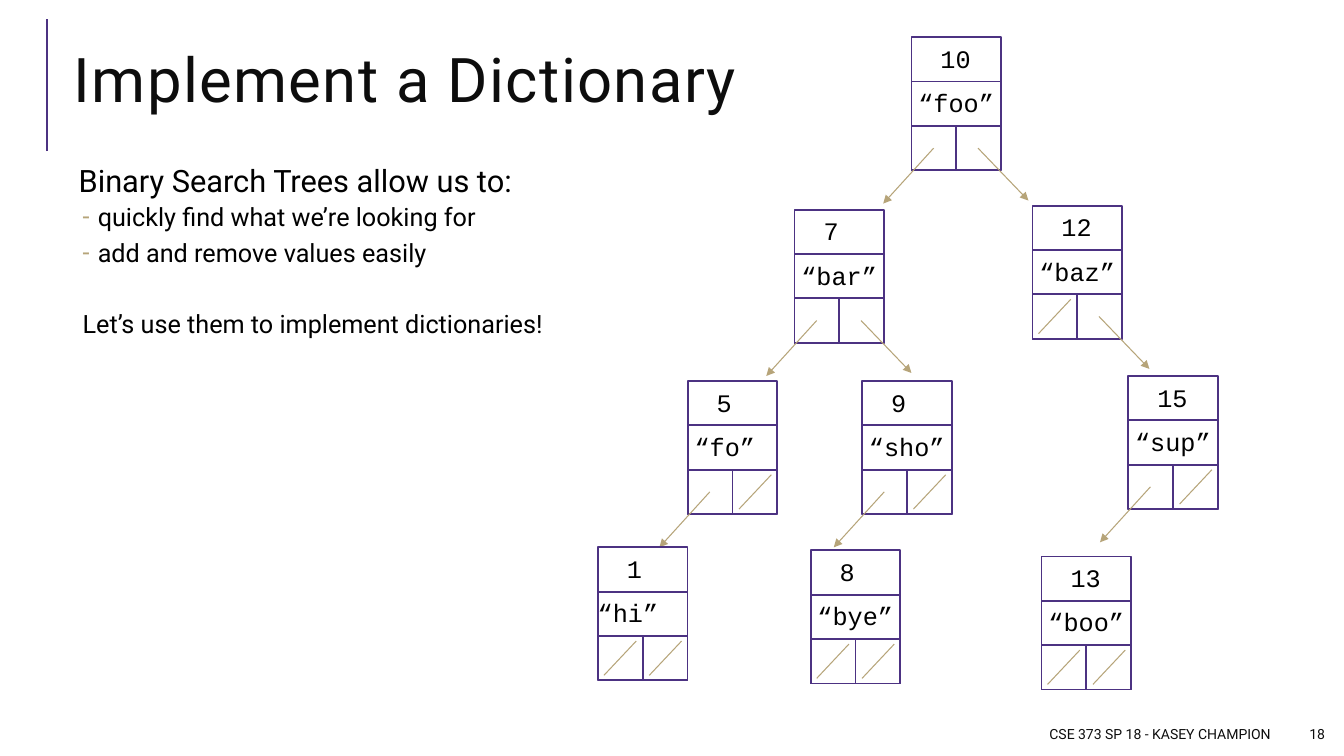
from lxml.etree import SubElement
from pptx import Presentation
from pptx.dml.color import RGBColor
from pptx.enum.shapes import MSO_CONNECTOR, MSO_SHAPE
from pptx.enum.text import MSO_ANCHOR, MSO_AUTO_SIZE, PP_ALIGN
from pptx.oxml.ns import qn
from pptx.util import Inches, Pt

COLORS = {"line": "4C3282", "arrow": "B6A479", "title": "0D0D0D", "text": "000000"}
BODY, CODE = "Roboto", "Courier New"

# Node geometry
WIDE, HIGH, CELL = 0.89, 1.32, 0.44
ARROWS = [(0.22, 1.1, -0.28, 1.65), (0.66, 1.1, 1.16, 1.62)]
SLASHES = [(0.38, 0.93, 0.06, 1.27), (0.83, 0.93, 0.51, 1.27)]

# Left, top, key, value, has left child, has right child
NODES = [
    (9.04, 0.37, "10", "“foo”", True, True),
    (7.88, 2.08, "7", "“bar”", True, True),
    (10.24, 2.04, "12", "“baz”", False, True),
    (8.55, 3.78, "9", "“sho”", True, False),
    (6.82, 3.78, "5", "“fo”", True, False),
    (11.19, 3.73, "15", "“sup”", True, False),
    (10.33, 5.52, "13", "“boo”", False, False),
    (8.04, 5.46, "8", "“bye”", False, False),
    (5.93, 5.43, "1", "“hi”", False, False),
]


def color(name):
    return RGBColor.from_string(COLORS[name])


def write(para, text, size=18, font=BODY, tint="text", align=PP_ALIGN.LEFT, track=0):
    para.alignment = align
    run = para.add_run()
    run.text = text
    run.font.size = Pt(size)
    run.font.name = font
    run.font.color.rgb = color(tint)
    if track:
        run._r.get_or_add_rPr().set("spc", str(track * 100))


class Deck:
    def __init__(self):
        self.show = Presentation()
        self.show.slide_width = Inches(13.33)
        self.show.slide_height = Inches(7.5)
        self.slide = self.show.slides.add_slide(self.show.slide_layouts[1])
        self.shapes = self.slide.shapes

    def place(self, holder, x, y, w, h, anchor):
        holder.left, holder.top = Inches(x), Inches(y)
        holder.width, holder.height = Inches(w), Inches(h)
        frame = holder.text_frame
        frame.auto_size = MSO_AUTO_SIZE.NONE
        frame.vertical_anchor = anchor
        return frame

    def title(self, text):
        frame = self.place(self.shapes.title, 0.63, 0.29, 12.23, 1.11, MSO_ANCHOR.MIDDLE)
        para = frame.paragraphs[0]
        para.line_spacing = 0.8
        write(para, text, size=44, tint="title", track=1)

    def body(self, items):
        holder = self.slide.placeholders[1]
        frame = self.place(holder, 0.63, 1.6, 12.23, 5.3, MSO_ANCHOR.TOP)
        frame.margin_left = frame.margin_right = Inches(0.05)
        frame.margin_top = frame.margin_bottom = Inches(0.05)
        for i, (text, level, size, left, hang, before, after, dash) in enumerate(items):
            para = frame.add_paragraph() if i else frame.paragraphs[0]
            para.level = level
            para.line_spacing = 0.9
            para.space_before, para.space_after = Pt(before), Pt(after)
            self.bullet(para, left, hang, dash)
            write(para, text, size=size)

    def bullet(self, para, left, hang, dash):
        props = para._p.get_or_add_pPr()
        props.set("marL", str(Inches(left)))
        props.set("indent", str(-Inches(hang)))
        if dash:
            tint = SubElement(props, qn("a:buClr"))
            SubElement(tint, qn("a:srgbClr")).set("val", COLORS["arrow"])
            SubElement(props, qn("a:buFont")).set("typeface", BODY)
            SubElement(props, qn("a:buChar")).set("char", "-")
        else:
            SubElement(props, qn("a:buNone"))

    def label(self, text, x, y, w, h, home=None, wrap=False, anchor=MSO_ANCHOR.TOP, **style):
        box = (home or self.shapes).add_textbox(Inches(x), Inches(y), Inches(w), Inches(h))
        box.text_frame.word_wrap = wrap
        box.text_frame.vertical_anchor = anchor
        write(box.text_frame.paragraphs[0], text, **style)

    def rect(self, home, x, y, w, h):
        box = home.add_shape(MSO_SHAPE.RECTANGLE, Inches(x), Inches(y), Inches(w), Inches(h))
        box.shadow.inherit = False
        box.fill.background()
        box.line.color.rgb = color("line")
        box.line.width = Pt(1.25)

    def line(self, home, x1, y1, x2, y2, tint="arrow", width=0.75, head=False):
        link = home.add_connector(
            MSO_CONNECTOR.STRAIGHT, Inches(x1), Inches(y1), Inches(x2), Inches(y2))
        link.line.color.rgb = color(tint)
        link.line.width = Pt(width)
        if head:
            SubElement(link.line._get_or_add_ln(), qn("a:tailEnd")).set("type", "triangle")
        SubElement(link._element.spPr, qn("a:effectLst"))

    def node(self, x, y, key, value, *kids):
        home = self.shapes.add_group_shape().shapes
        # Frame, value row and two pointer cells
        self.rect(home, x, y, WIDE, HIGH)
        self.rect(home, x, y + CELL, WIDE, CELL)
        for side in range(2):
            self.rect(home, x + side * WIDE / 2, y + 2 * CELL, WIDE / 2, CELL)
        # Key and value
        self.label(key, x + 0.19, y + 0.01, 0.2 + 0.15 * len(key), 0.4, home, font=CODE)
        shift = 0.1 if value == "“hi”" else 0.03
        self.label(value, x - shift, y + 0.45, 0.21 + 0.15 * len(value), 0.4, home, font=CODE)
        # Arrow to a child, or a slash for none
        for kid, arrow, slash in zip(kids, ARROWS, SLASHES):
            x1, y1, x2, y2 = arrow if kid else slash
            self.line(home, x + x1, y + y1, x + x2, y + y2, head=kid)


def main():
    deck = Deck()

    # Heading and accent line
    deck.line(deck.shapes, 0.47, 1.5, 0.47, 0.19, tint="line", width=1.5)
    deck.title("Implement a Dictionary")

    # Text, level, size, left, hang, before, after, dash
    deck.body([
        ("Binary Search Trees allow us to:", 0, 22, 0.1, 0, 12, 2, False),
        ("quickly find what we’re looking for", 1, 18, 0.29, 0.15, 2, 4, True),
        ("add and remove values easily", 1, 18, 0.29, 0.15, 2, 4, True),
        ("Let’s use them to implement dictionaries!", 1, 18, 0.14, 0, 27, 4, False),
    ])

    # Footer and page number
    for text, x, w in [("CSE 373 SP 18 - KASEY CHAMPION", 6.25, 6.45), ("18", 12.78, 0.46)]:
        deck.label(text, x, 7.13, w, 0.3, wrap=True, anchor=MSO_ANCHOR.MIDDLE,
                   size=10, tint="title", align=PP_ALIGN.RIGHT)

    # Search tree
    for node in NODES:
        deck.node(*node)

    deck.show.save("out.pptx")


if __name__ == "__main__":
    main()
